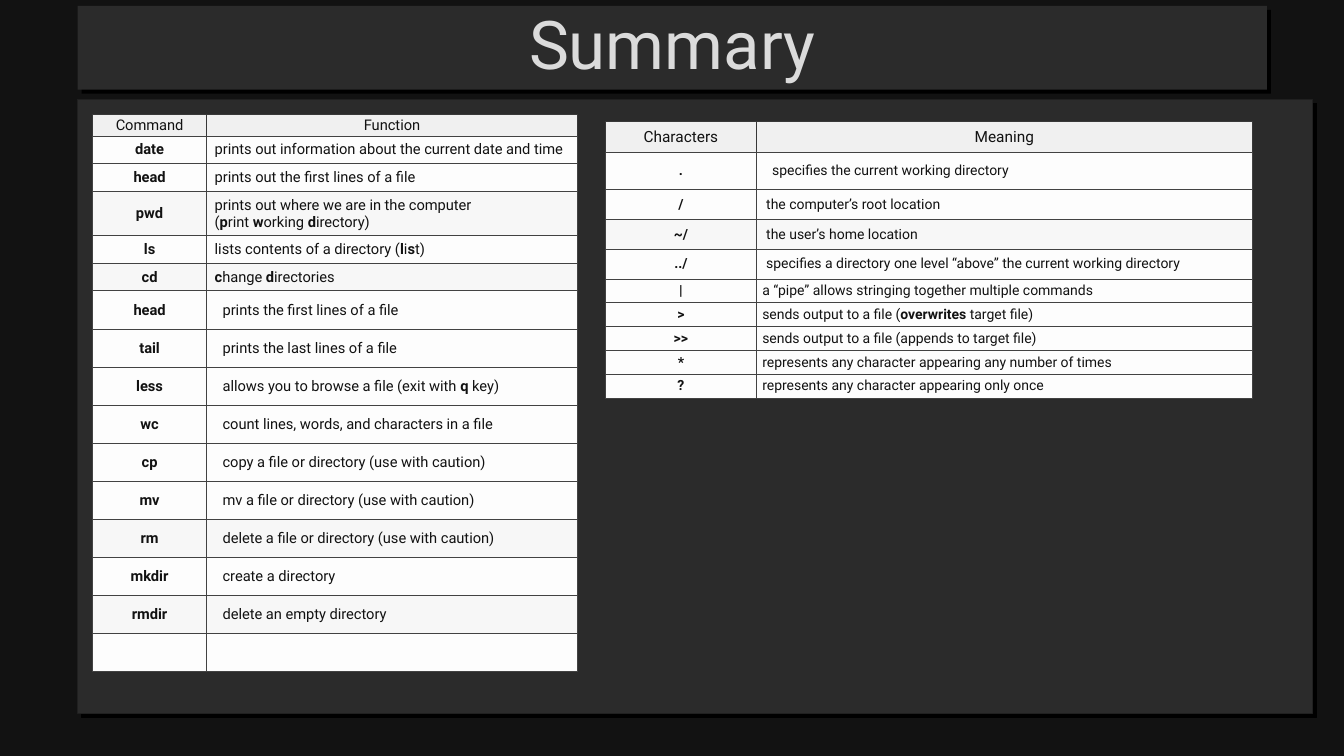
from pptx import Presentation
from pptx.dml.color import RGBColor
from pptx.enum.shapes import MSO_SHAPE
from pptx.enum.text import MSO_ANCHOR, PP_ALIGN
from pptx.oxml import parse_xml
from pptx.oxml.ns import nsdecls
from pptx.util import Cm, Pt


class Theme:
    font = "Roboto"
    back = "121212"
    panel = "2B2B2B"
    edge = "202020"
    light = "DBDBDB"
    ink = "121212"
    head = "F0F0F0"
    plain = "FDFDFD"
    shade = "F7F7F7"
    rim = "383838"
    grid = "424242"
    black = "000000"
    title = Pt(48)
    large = Pt(11)
    left = Pt(10.5)
    right = Pt(10)


def write(para, text, size, color):
    for part, chunk in enumerate(text.split("_")):
        if chunk:
            run = para.add_run()
            run.text = chunk
            form = {"name": Theme.font, "size": size, "bold": part % 2 == 1}
            for key, value in form.items():
                setattr(run.font, key, value)
            run.font.color.rgb = RGBColor.from_string(color)


deck = Presentation()
deck.slide_width, deck.slide_height = Cm(33.87), Cm(19.05)
slide = deck.slides.add_slide(deck.slide_layouts[6])
slide.background.fill.solid()
slide.background.fill.fore_color.rgb = RGBColor.from_string(Theme.back)

panels = [
    ((1.96, 0.15, 29.97, 2.11), "Summary"),
    ((1.96, 2.51, 31.12, 15.47), ""),
]
for place, label in panels:
    panel = slide.shapes.add_shape(MSO_SHAPE.RECTANGLE, *map(Cm, place))
    panel.fill.solid()
    panel.fill.fore_color.rgb = RGBColor.from_string(Theme.panel)
    if label:
        panel.line.fill.background()
        form = {"vertical_anchor": MSO_ANCHOR.MIDDLE, "word_wrap": True}
        for key, value in form.items():
            setattr(panel.text_frame, key, value)
        para = panel.text_frame.paragraphs[0]
        para.alignment, para.line_spacing = PP_ALIGN.CENTER, 0.9
        write(para, label, Theme.title, Theme.light)
    else:
        panel.line.color.rgb = RGBColor.from_string(Theme.edge)
        panel.line.width = Pt(1)
    panel._element.spPr.append(parse_xml(
        f'<a:effectLst {nsdecls("a")}>'
        f'<a:outerShdw blurRad="0" dist="{Pt(4)}" dir="2700000" algn="tl" rotWithShape="0">'
        f'<a:srgbClr val="{Theme.black}"/></a:outerShdw></a:effectLst>'))

print_dir = "(_p_rint _w_orking _d_irectory)".replace(" ", chr(160))
tables = [
    {
        "place": (2.33, 2.88), "cols": (2.88, 9.34),
        "top": Theme.left, "size": Theme.left,
        "shaded": {"pwd", "cd", "rm", "rmdir"},
        "groups": [
            (0.1, 0.05, 0.55, [("Command", "Function")]),
            (0.2, 0.13, 0.69, [
                ("date", "prints out information about the current date and time"),
                ("head", "prints out the first lines of a file"),
            ]),
            (0.2, 0.13, 1.13, [
                ("pwd", "prints out where we are in the computer " + print_dir),
            ]),
            (0.2, 0.13, 0.69, [
                ("ls", "lists contents of a directory (_l_i_s_t)"),
                ("cd", "_c_hange _d_irectories"),
            ]),
            (0.4, 0.25, 0.96, [
                ("head", "prints the first lines of a file"),
                ("tail", "prints the last lines of a file"),
                ("less", "allows you to browse a file (exit with _q_ key)"),
                ("wc", "count lines, words, and characters in a file"),
                ("cp", "copy a file or directory (use with caution)"),
                ("mv", "mv a file or directory (use with caution)"),
                ("rm", "delete a file or directory (use with caution)"),
                ("mkdir", "create a directory"),
                ("rmdir", "delete an empty directory"),
                ("", ""),
            ]),
        ],
    },
    {
        "place": (15.26, 3.07), "cols": (3.8, 12.5),
        "top": Theme.large, "size": Theme.right,
        "shaded": {"~/"},
        "groups": [
            (0.25, 0.15, 0.77, [("Characters", "Meaning")]),
            (0.4, 0.25, 0.94, [(".", "specifies the current working directory")]),
            (0.25, 0.16, 0.75, [
                ("/", "the computer’s root location"),
                ("~/", "the user’s home location"),
                ("../", "specifies a directory one level “above” the current working directory"),
            ]),
            (0.15, 0.09, 0.6, [
                ("|", "a “pipe” allows stringing together multiple commands"),
                (">", "sends output to a file (_overwrites_ target file)"),
                (">>", "sends output to a file (appends to target file)"),
                ("*", "represents any character appearing any number of times"),
                ("?", "represents any character appearing only once"),
            ]),
        ],
    },
]

for data in tables:
    rows = [(*group[:3], pair) for group in data["groups"] for pair in group[3]]
    size = sum(data["cols"]), sum(row[2] for row in rows)
    table = slide.shapes.add_table(
        len(rows), 2, *map(Cm, data["place"] + size)).table
    table.horz_banding = False
    for column, width in zip(table.columns, data["cols"]):
        column.width = Cm(width)
    for index, (side, end, height, pair) in enumerate(rows):
        table.rows[index].height = Cm(height)
        first = index == 0
        fill = Theme.shade if pair[0] in data["shaded"] else Theme.plain
        fill = Theme.head if first else fill
        points = data["top"] if first else data["size"]
        for spot, text in enumerate(pair):
            cell = table.cell(index, spot)
            form = {
                "margin_left": Cm(side), "margin_right": Cm(side),
                "margin_top": Cm(end), "margin_bottom": Cm(end),
                "vertical_anchor": MSO_ANCHOR.MIDDLE,
            }
            for key, value in form.items():
                setattr(cell, key, value)
            for edge in "LRTB":
                color = Theme.rim if first and edge != "B" else Theme.grid
                cell._tc.get_or_add_tcPr().append(parse_xml(
                    f'<a:ln{edge} {nsdecls("a")} w="{Pt(0.75)}"><a:solidFill>'
                    f'<a:srgbClr val="{color}"/></a:solidFill></a:ln{edge}>'))
            cell.fill.solid()
            cell.fill.fore_color.rgb = RGBColor.from_string(fill)
            para = cell.text_frame.paragraphs[0]
            center = first or spot == 0
            para.alignment = PP_ALIGN.CENTER if center else PP_ALIGN.LEFT
            bold = spot == 0 and not first
            write(para, f"_{text}_" if bold else text, points, Theme.ink)
            if not text:
                para._p.append(parse_xml(
                    f'<a:endParaRPr {nsdecls("a")} sz="{int(points.pt * 100)}"/>'))

deck.save("out.pptx")
